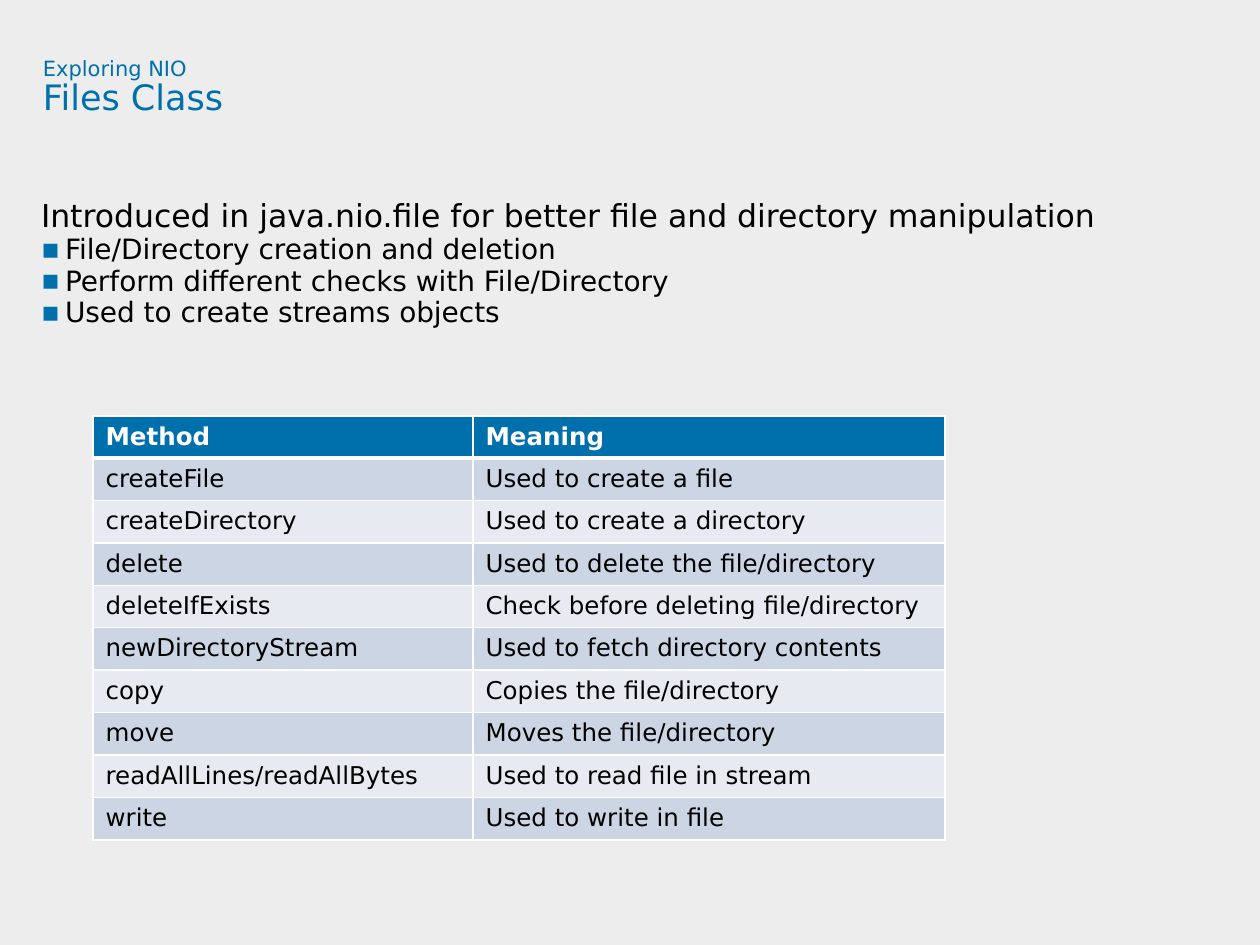
from lxml.etree import SubElement
from pptx import Presentation
from pptx.dml.color import RGBColor
from pptx.oxml.ns import qn
from pptx.util import Emu, Pt

HUES = {"back": "EDEDED", "blue": "0070AD", "ink": "000000",
        "white": "FFFFFF", "dark": "CCD5E3", "light": "E7EBF1"}
FONT = "DejaVu Sans"
SCALE = 914400 / 126

POINTS = ["File/Directory creation and deletion",
          "Perform different checks with File/Directory",
          "Used to create streams objects"]
ROWS = [("Method", "Meaning"),
        ("createFile", "Used to create a file"),
        ("createDirectory", "Used to create a directory"),
        ("delete", "Used to delete the file/directory"),
        ("deleteIfExists", "Check before deleting file/directory"),
        ("newDirectoryStream", "Used to fetch directory contents"),
        ("copy", "Copies the file/directory"),
        ("move", "Moves the file/directory"),
        ("readAllLines/readAllBytes", "Used to read file in stream"),
        ("write", "Used to write in file")]


def px(num):
    return Emu(round(num * SCALE))


def rgb(hue):
    return RGBColor.from_string(HUES[hue])


class Deck:
    def __init__(self, wide, high):
        self.file = Presentation()
        self.file.slide_width, self.file.slide_height = px(wide), px(high)
        self.slide = self.file.slides.add_slide(self.file.slide_layouts[6])
        fill = self.slide.background.fill
        fill.solid()
        fill.fore_color.rgb = rgb("back")

    def run(self, para, text, size, hue, bold=False):
        run = para.add_run()
        run.text = text
        font = run.font
        font.name, font.size, font.bold = FONT, Pt(size), bold
        font.color.rgb = rgb(hue)

    def box(self, left, top, wide, high):
        frame = self.slide.shapes.add_textbox(*map(px, (left, top, wide, high))).text_frame
        frame.word_wrap = True
        frame.margin_left = frame.margin_right = 0
        frame.margin_top = frame.margin_bottom = 0
        return frame

    def title(self, small, large, *area):
        para = self.box(*area).paragraphs[0]
        para.line_spacing = 0.9
        self.run(para, small, 12, "blue")
        para.add_line_break()
        self.run(para, large, 20, "blue")

    def bullet(self, para, indent):
        props = para._p.get_or_add_pPr()
        props.set("marL", str(px(indent)))
        props.set("indent", str(px(-indent)))
        tint = SubElement(props, qn("a:buClr"))
        SubElement(tint, qn("a:srgbClr"), val=HUES["blue"])
        SubElement(props, qn("a:buFont"), typeface=FONT)
        SubElement(props, qn("a:buChar"), char="▪")

    def body(self, lead, points, *area):
        frame = self.box(*area)
        para = frame.paragraphs[0]
        para.line_spacing, para.space_after = Pt(16.5), Pt(4.5)
        self.run(para, lead, 18, "ink")
        for point in points:
            para = frame.add_paragraph()
            para.line_spacing, para.space_after = Pt(13.5), Pt(4.5)
            self.bullet(para, 24)
            self.run(para, point, 16, "ink")

    def edge(self, cell, side, width):
        line = SubElement(cell._tc.get_or_add_tcPr(), qn("a:" + side), w=str(Pt(width)))
        fill = SubElement(line, qn("a:solidFill"))
        SubElement(fill, qn("a:srgbClr"), val=HUES["white"])

    def cell(self, cell, text, row):
        head = row == 0
        # Borders go in ahead of the fill
        widths = {"lnL": 1, "lnR": 1, "lnT": 3 if row == 1 else 1, "lnB": 3 if head else 1}
        for side, width in widths.items():
            self.edge(cell, side, width)
        cell.fill.solid()
        cell.fill.fore_color.rgb = rgb("blue" if head else "dark" if row % 2 else "light")
        self.run(cell.text_frame.paragraphs[0], text, 14, "white" if head else "ink", head)

    def table(self, rows, left, top, cols, high, head):
        grid = self.slide.shapes.add_table(
            len(rows), len(cols), *map(px, (left, top, sum(cols), high))).table
        for col, wide in zip(grid.columns, cols):
            col.width = px(wide)
        for num, texts in enumerate(rows):
            grid.rows[num].height = px((high - head) / (len(rows) - 1) if num else head)
            for col, text in enumerate(texts):
                self.cell(grid.cell(num, col), text, num)


def main():
    deck = Deck(1260, 945)
    # Heading
    deck.title("Exploring NIO", "Files Class", 43, 58, 1145, 118)
    # Lead and bullets
    deck.body("Introduced in java.nio.file for better file and directory manipulation",
              POINTS, 41, 205, 1219, 640)
    # Method table
    deck.table(ROWS, 93, 416, (380, 472), 423, 41)
    deck.file.save("out.pptx")


if __name__ == "__main__":
    main()
